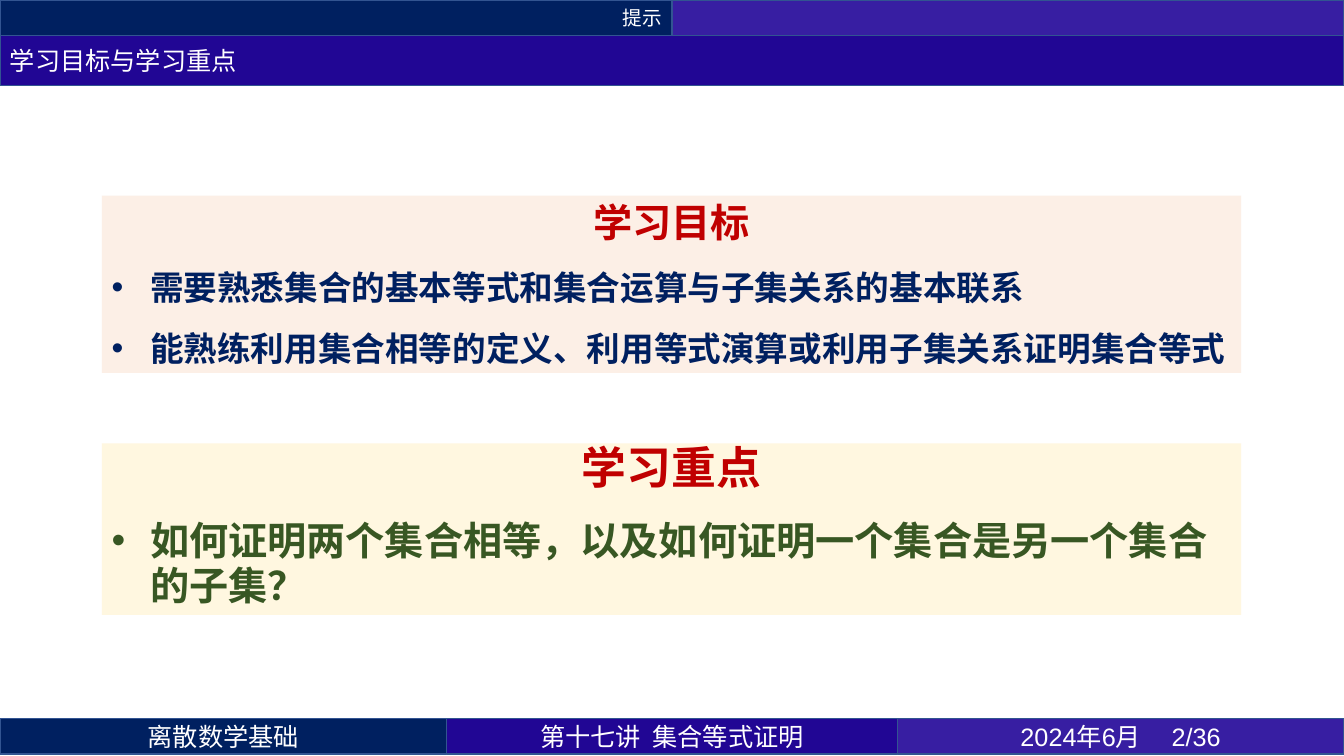
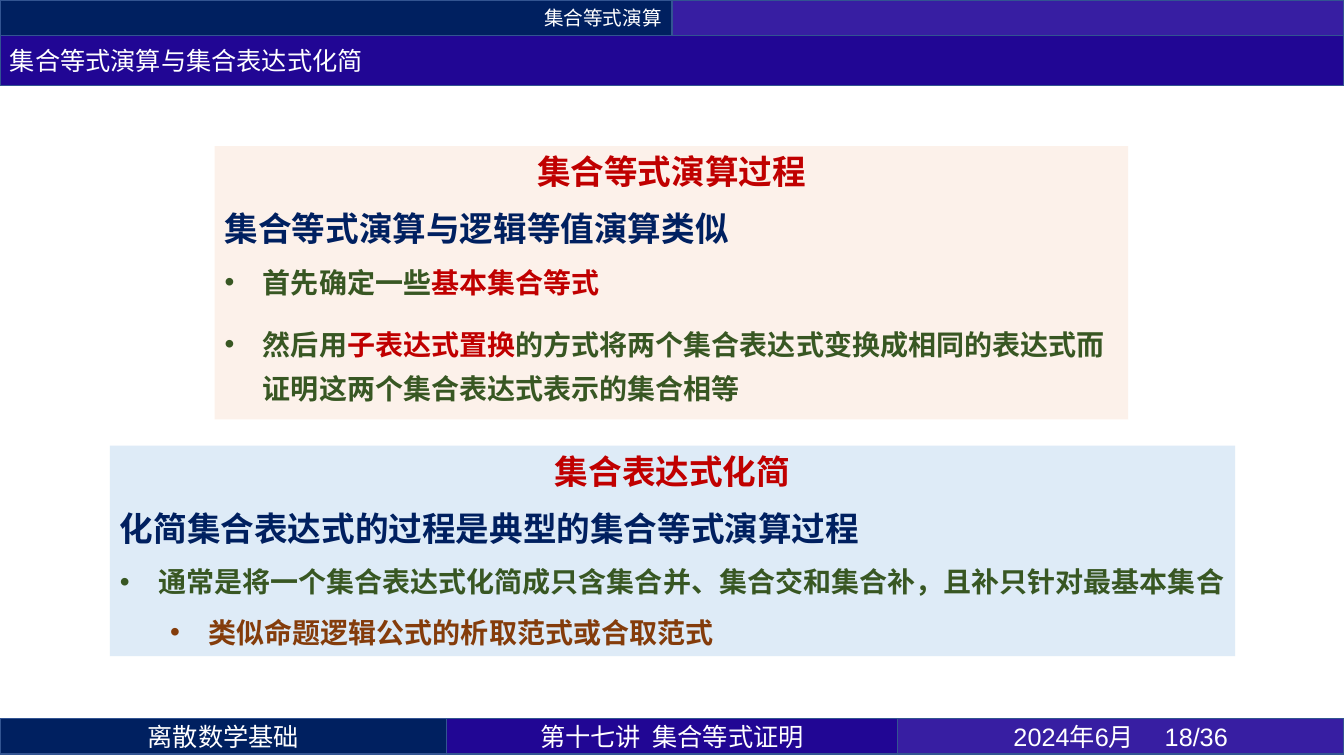
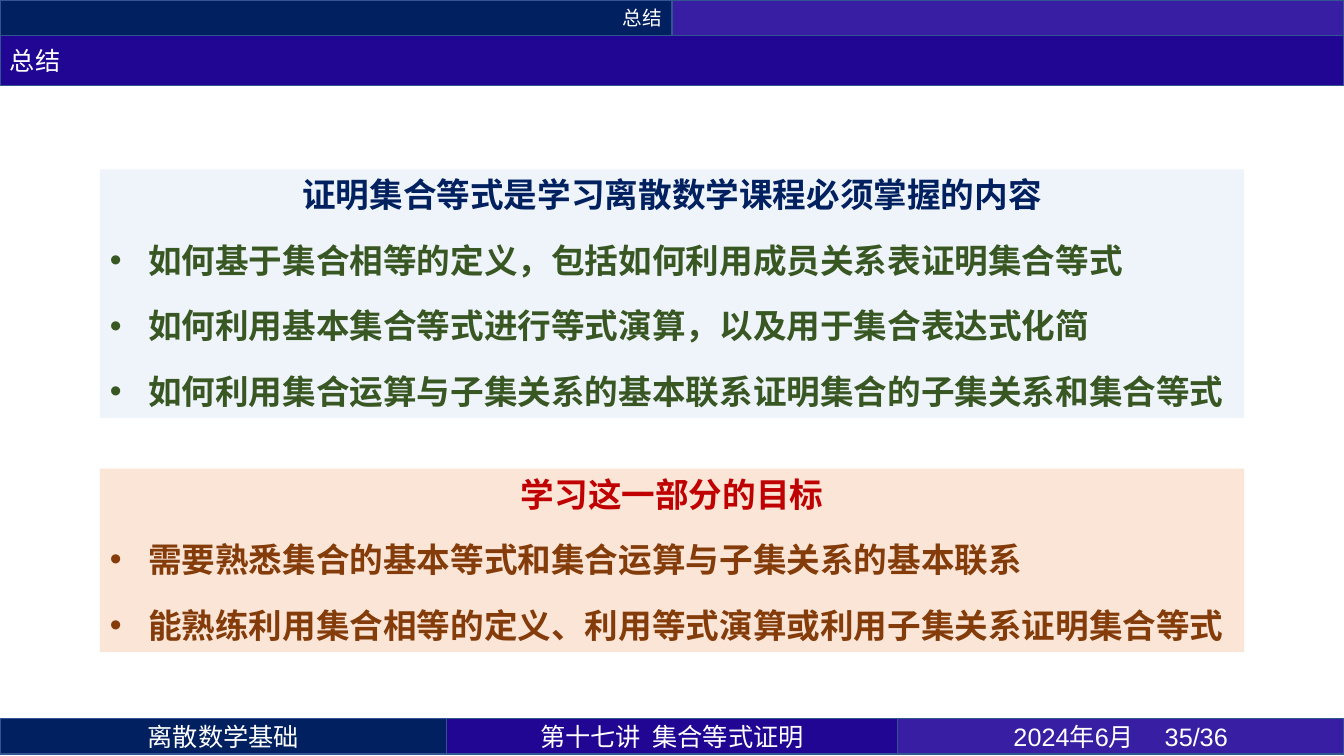
"""Build three lecture slides on proving set equalities."""
import dataclasses

import lxml.etree
import pptx
import pptx.dml.color
import pptx.enum.shapes
import pptx.enum.text
import pptx.oxml.ns
import pptx.util

Inches = pptx.util.Inches
Pt = pptx.util.Pt
RGB = pptx.dml.color.RGBColor
ALIGN = pptx.enum.text.PP_ALIGN
ANCHOR = pptx.enum.text.MSO_ANCHOR
qn = pptx.oxml.ns.qn

WHITE = RGB(0xFF, 0xFF, 0xFF)
NAVY = RGB(0x00, 0x20, 0x60)
INDIGO = RGB(0x21, 0x06, 0x94)
VIOLET = RGB(0x37, 0x1E, 0xA2)
EDGE = RGB(0x32, 0x54, 0x91)
RED = RGB(0xC0, 0x00, 0x00)
GREEN = RGB(0x38, 0x57, 0x23)
BROWN = RGB(0x84, 0x3C, 0x0B)
PEACH = RGB(0xFB, 0xE5, 0xD6)
CREAM = RGB(0xFF, 0xF2, 0xCC)
SKY = RGB(0xDE, 0xEB, 0xF7)

SANS = "Noto Sans CJK SC"
ARIAL = "Arial"
WIDTH, HEIGHT = 13.33, 7.5
BAND = 0.35
HANG = 0.38
INDENT = {"item": HANG, "sub": 0.88}
PAGES = 36


@dataclasses.dataclass
class Para:
    kind: str
    size: int
    runs: list
    face: str = SANS
    lead: int = 0


def add_run(para, text, size, color, face=SANS, bold=False):
    run = para.add_run()
    run.text = text
    font = run.font
    font.size, font.bold, font.name = Pt(size), bold, face
    font.color.rgb = color
    east = lxml.etree.SubElement(run._r.get_or_add_rPr(), qn("a:ea"))
    east.set("typeface", SANS)


def add_rect(slide, box, fill, alpha=100):
    kind = pptx.enum.shapes.MSO_SHAPE.RECTANGLE
    rect = slide.shapes.add_shape(kind, *map(Inches, box))
    rect.shadow.inherit = False
    rect.fill.solid()
    rect.fill.fore_color.rgb = fill
    rect.line.fill.background()
    if alpha < 100:
        color = rect._element.spPr.find(qn("a:solidFill"))[0]
        node = lxml.etree.SubElement(color, qn("a:alpha"))
        node.set("val", str(alpha * 1000))
    rect.text_frame.word_wrap = True
    return rect


def add_band(slide, box, fill, text="", size=18, align=ALIGN.CENTER, face=SANS):
    rect = add_rect(slide, box, fill)
    rect.line.color.rgb = EDGE
    rect.line.width = Pt(1)
    if text:
        rect.text_frame.vertical_anchor = ANCHOR.MIDDLE
        para = rect.text_frame.paragraphs[0]
        para.alignment = align
        add_run(para, text, size, WHITE, face)


def add_bullet(para, kind):
    props = para._p.get_or_add_pPr()
    props.set("marL", str(Inches(INDENT[kind])))
    props.set("indent", str(-Inches(HANG)))
    lxml.etree.SubElement(props, qn("a:buFont")).set("typeface", ARIAL)
    lxml.etree.SubElement(props, qn("a:buChar")).set("char", "•")
    para.level = int(kind == "sub")


def add_card(slide, box, fill, alpha, gaps, paras):
    frame = add_rect(slide, box, fill, alpha).text_frame
    frame.vertical_anchor = ANCHOR.TOP
    frame.auto_size = pptx.enum.text.MSO_AUTO_SIZE.SHAPE_TO_FIT_TEXT
    before, after = gaps
    for i, spec in enumerate(paras):
        para = frame.add_paragraph() if i else frame.paragraphs[0]
        para.alignment = ALIGN.CENTER if spec.kind == "head" else ALIGN.LEFT
        if spec.kind in INDENT:
            add_bullet(para, spec.kind)
        para.space_before = Pt(before if i else 0)
        para.space_after = Pt(after)
        if spec.lead:
            para.line_spacing = Pt(spec.lead)
        for text, color in spec.runs:
            add_run(para, text, spec.size, color, spec.face, True)


def add_page(deck, topic, title, page):
    slide = deck.slides.add_slide(deck.slide_layouts[6])
    half, side, foot = WIDTH / 2, 4.43, 7.13
    add_band(slide, (0, 0, half, BAND), NAVY, topic, 14, ALIGN.RIGHT)
    add_band(slide, (half, 0, half, BAND), VIOLET)
    add_band(slide, (0, foot, side, BAND), NAVY, "离散数学基础")
    add_band(slide, (side, foot, WIDTH - 2 * side, BAND), INDIGO,
             "第十七讲  集合等式证明")
    add_band(slide, (WIDTH - side, foot, side, BAND), VIOLET,
             f"2024年6月 \t{page}/{PAGES}", face=ARIAL)
    add_band(slide, (0, BAND, WIDTH, 0.5), INDIGO, title, align=ALIGN.LEFT)
    return slide


def main():
    deck = pptx.Presentation()
    deck.slide_width, deck.slide_height = Inches(WIDTH), Inches(HEIGHT)
    goals = ["需要熟悉集合的基本等式和集合运算与子集关系的基本联系",
             "能熟练利用集合相等的定义、利用等式演算或利用子集关系证明集合等式"]

    slide = add_page(deck, "提示", "学习目标与学习重点", 2)
    add_card(slide, (1.01, 1.94, 11.3, 1.76), PEACH, 60, (6, 6), [
        Para("head", 28, [("学习目标", RED)], lead=32),
        *[Para("item", 24, [(goal, NAVY)], ARIAL, 32) for goal in goals]])
    add_card(slide, (1.01, 4.4, 11.3, 1.7), CREAM, 60, (12, 6), [
        Para("head", 32, [("学习重点", RED)], lead=32),
        Para("item", 28, [
            ("如何证明两个集合相等，以及如何证明一个集合是另一个集合的子集？", GREEN)],
            ARIAL, 32)])

    slide = add_page(deck, "集合等式演算", "集合等式演算与集合表达式化简", 18)
    add_card(slide, (2.13, 1.45, 9.06, 2.71), PEACH, 50, (6, 6), [
        Para("head", 24, [("集合等式演算过程", RED)]),
        Para("text", 24, [("集合等式演算与逻辑等值演算类似", NAVY)]),
        Para("item", 20, [("首先确定一些", GREEN), ("基本集合等式", RED)]),
        Para("item", 20, [
            ("然后用", GREEN), ("子表达式置换", RED),
            ("的方式将两个集合表达式变换成相同的表达式而证明这两个集合表达式表示的集合相等",
             GREEN)], lead=32)])
    add_card(slide, (1.09, 4.42, 11.16, 2.09), SKY, 100, (6, 6), [
        Para("head", 24, [("集合表达式化简", RED)]),
        Para("text", 24, [("化简集合表达式的过程是典型的集合等式演算过程", NAVY)]),
        Para("item", 20, [
            ("通常是将一个集合表达式化简成只含集合并、集合交和集合补，且补只针对最基本集合",
             GREEN)]),
        Para("sub", 20, [("类似命题逻辑公式的析取范式或合取范式", BROWN)])])

    slide = add_page(deck, "总结", "总结", 35)
    skills = ["如何基于集合相等的定义，包括如何利用成员关系表证明集合等式",
              "如何利用基本集合等式进行等式演算，以及用于集合表达式化简",
              "如何利用集合运算与子集关系的基本联系证明集合的子集关系和集合等式"]
    add_card(slide, (0.99, 1.68, 11.35, 2.47), SKY, 50, (9, 9), [
        Para("head", 24, [("证明集合等式是学习离散数学课程必须掌握的内容", NAVY)]),
        *[Para("item", 24, [(skill, GREEN)]) for skill in skills]])
    add_card(slide, (0.99, 4.65, 11.35, 1.82), PEACH, 100, (9, 9), [
        Para("head", 24, [("学习这一部分的目标", RED)]),
        *[Para("item", 24, [(goal, BROWN)]) for goal in goals]])

    deck.save("out.pptx")


if __name__ == "__main__":
    main()
